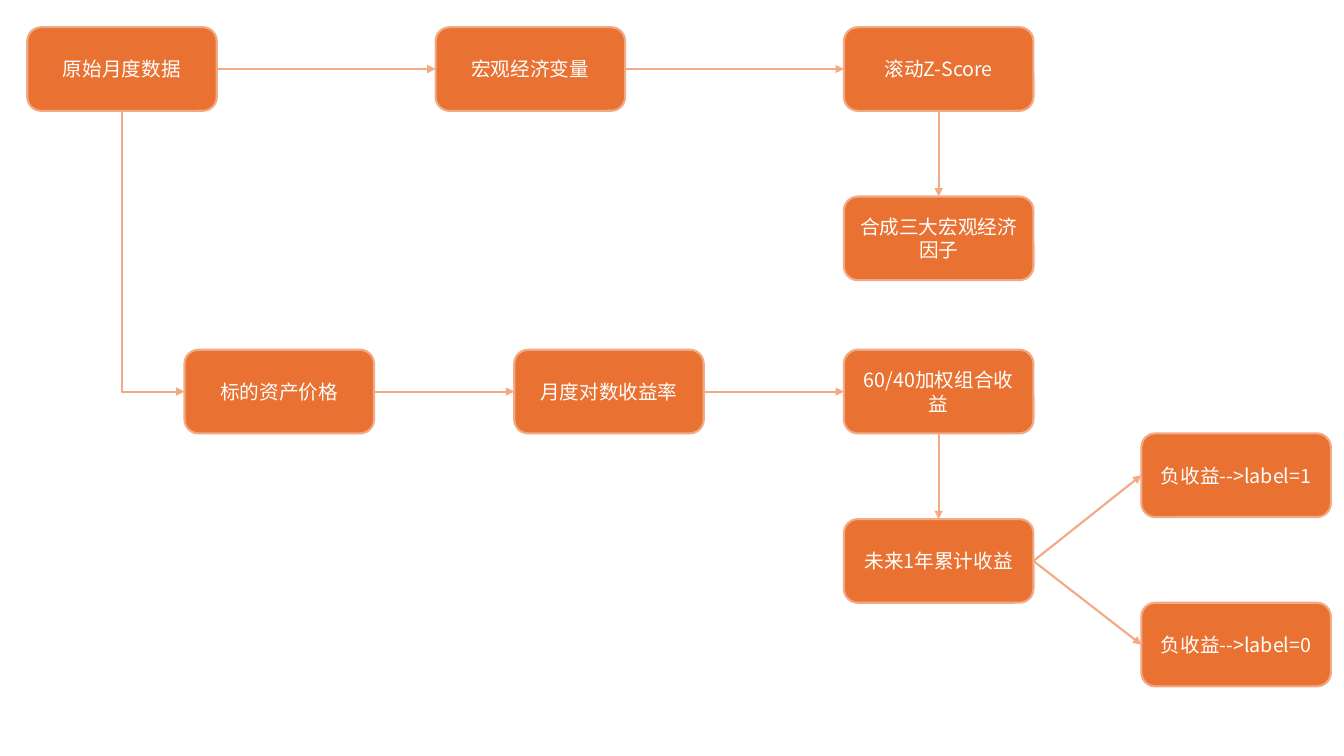
from lxml import etree
from pptx import Presentation
from pptx.dml.color import RGBColor
from pptx.enum.shapes import MSO_CONNECTOR as CONN, MSO_SHAPE as SHAPE
from pptx.enum.text import MSO_ANCHOR, PP_ALIGN
from pptx.oxml.ns import qn
from pptx.util import Inches, Pt

ORANGE = RGBColor(0xE9, 0x71, 0x32)
PEACH = RGBColor(0xF2, 0xAA, 0x84)
WHITE = RGBColor(0xFF, 0xFF, 0xFF)
FONT = "Noto Sans CJK SC"
BOX_W, BOX_H = Inches(1.88), Inches(0.83)
TOP, LEFT, BOTTOM, RIGHT = range(4)  # connection sites of a box

prs = Presentation()
prs.slide_width, prs.slide_height = Inches(13.33), Inches(7.5)
s = prs.slides.add_slide(prs.slide_layouts[6])

# Boxes: name, left, top, text
steps = [
    ("raw", 0.27, 0.27, "原始月度数据"),
    ("macro", 4.32, 0.27, "宏观经济变量"),
    ("zscore", 8.37, 0.27, "滚动Z-Score"),
    ("factors", 8.37, 1.95, "合成三大宏观经济因子"),
    ("prices", 1.83, 3.47, "标的资产价格"),
    ("returns", 5.1, 3.47, "月度对数收益率"),
    ("portfolio", 8.37, 3.47, "60/40加权组合收益"),
    ("future", 8.37, 5.15, "未来1年累计收益"),
    ("label1", 11.32, 4.3, "负收益-->label=1"),
    ("label0", 11.32, 5.98, "负收益-->label=0"),
]
boxes = {}
for name, left, top, text in steps:
    sp = s.shapes.add_shape(SHAPE.ROUNDED_RECTANGLE, Inches(left), Inches(top), BOX_W, BOX_H)
    sp.shadow.inherit = False
    sp.fill.solid()
    sp.fill.fore_color.rgb = ORANGE
    sp.line.color.rgb = PEACH
    sp.line.width = Pt(1.5)
    tf = sp.text_frame
    tf.word_wrap = True
    tf.vertical_anchor = MSO_ANCHOR.MIDDLE
    p = tf.paragraphs[0]
    p.alignment = PP_ALIGN.CENTER
    r = p.add_run()
    r.text = text
    r.font.size = Pt(14)
    r.font.name = FONT
    r.font.color.rgb = WHITE
    etree.SubElement(r.font._element, qn("a:ea"), typeface=FONT)
    boxes[name] = sp

# Arrows: from box and site, to box and site
arrows = [
    ("raw", RIGHT, "macro", LEFT),
    ("macro", RIGHT, "zscore", LEFT),
    ("zscore", BOTTOM, "factors", TOP),
    ("raw", BOTTOM, "prices", LEFT),
    ("prices", RIGHT, "returns", LEFT),
    ("returns", RIGHT, "portfolio", LEFT),
    ("portfolio", BOTTOM, "future", TOP),
    ("future", RIGHT, "label1", LEFT),
    ("future", RIGHT, "label0", LEFT),
]
for start, start_site, end, end_site in arrows:
    bent = (start_site, end_site) == (BOTTOM, LEFT)
    c = s.shapes.add_connector(CONN.ELBOW if bent else CONN.STRAIGHT, 0, 0, 0, 0)
    c.begin_connect(boxes[start], start_site)
    c.end_connect(boxes[end], end_site)
    c.line.color.rgb = PEACH
    c.line.width = Pt(1.5)
    sp_pr = c._element.spPr
    etree.SubElement(sp_pr.find(qn("a:ln")), qn("a:tailEnd"), type="triangle")
    etree.SubElement(sp_pr, qn("a:effectLst"))
    if bent:
        # One corner: a turned and flipped frame goes down first, then right
        across, down = c.width, c.height
        c.left, c.top = c.left + (across - down) // 2, c.top + (down - across) // 2
        c.width, c.height = down, across
        xfrm = sp_pr.find(qn("a:xfrm"))
        xfrm.set("rot", str(270 * 60000))
        xfrm.set("flipH", "1")
        sp_pr.find(qn("a:prstGeom")).set("prst", "bentConnector2")

prs.save("out.pptx")
